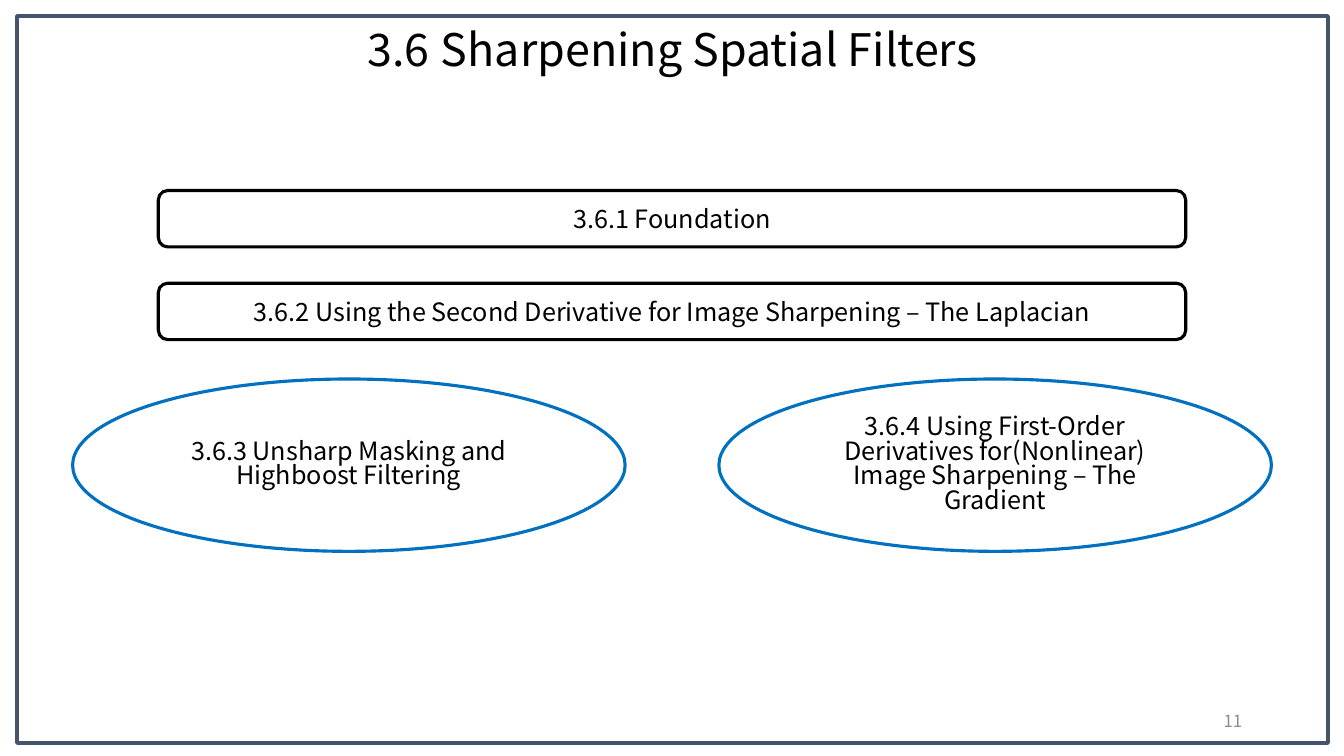
from pptx import Presentation
from pptx.dml.color import RGBColor
from pptx.enum.shapes import MSO_SHAPE
from pptx.enum.text import MSO_ANCHOR, PP_ALIGN
from pptx.util import Inches, Pt

FONT = "Noto Sans CJK KR"
BLACK = RGBColor(0x00, 0x00, 0x00)
WHITE = RGBColor(0xFF, 0xFF, 0xFF)
BLUE = RGBColor(0x00, 0x70, 0xC0)
SLATE = RGBColor(0x44, 0x54, 0x6A)
GRAY = RGBColor(0x8C, 0x8C, 0x8C)

deck = Presentation()
deck.slide_width, deck.slide_height = Inches(13.33), Inches(7.5)
page = deck.slides.add_slide(deck.slide_layouts[6])


def add_outline(preset, left, top, width, height, color, weight, fill=None):
    shape = page.shapes.add_shape(
        preset, Inches(left), Inches(top), Inches(width), Inches(height))
    shape.shadow.inherit = False
    if fill is None:
        shape.fill.background()
    else:
        shape.fill.solid()
        shape.fill.fore_color.rgb = fill
    shape.line.color.rgb = color
    shape.line.width = Pt(weight)
    return shape


def write(box, spans, align=PP_ALIGN.CENTER, color=BLACK, spacing=None):
    """Fill a box with one paragraph made of (text, size) spans."""
    frame = box.text_frame
    frame.word_wrap = True
    frame.vertical_anchor = MSO_ANCHOR.MIDDLE
    para = frame.paragraphs[0]
    para.alignment = align
    if spacing:
        para.line_spacing = spacing
    for text, size in spans:
        span = para.add_run()
        span.text = text
        span.font.name = FONT
        span.font.size = Pt(size)
        span.font.color.rgb = color


title = page.shapes.add_textbox(Inches(1.67), Inches(0.14), Inches(10), Inches(0.71))
write(title, [("3.6", 32), (" ", 36), ("Sharpening Spatial Filters", 32)], spacing=0.9)

add_outline(MSO_SHAPE.RECTANGLE, 0.17, 0.16, 13, 7.21, SLATE, 3)

number = page.shapes.add_textbox(Inches(9.42), Inches(6.95), Inches(3), Inches(0.4))
write(number, [("11", 12)], align=PP_ALIGN.RIGHT, color=GRAY)

branches = [
    (0.72, "3.6.3 Unsharp Masking and Highboost Filtering"),
    (7.13, "3.6.4 Using First-Order Derivatives for(Nonlinear) "
           "Image Sharpening – The Gradient"),
]
for left, text in branches:
    ellipse = add_outline(MSO_SHAPE.OVAL, left, 3.76, 5.48, 1.71, BLUE, 2.25, WHITE)
    write(ellipse, [(text, 18)], spacing=0.82)

sections = [
    (1.89, "3.6.1 Foundation"),
    (2.81, "3.6.2 Using the Second Derivative for Image Sharpening – The Laplacian"),
]
for top, text in sections:
    bar = add_outline(MSO_SHAPE.ROUNDED_RECTANGLE, 1.57, top, 10.19, 0.56, BLACK, 2.25)
    write(bar, [(text, 18)])

deck.save("out.pptx")
